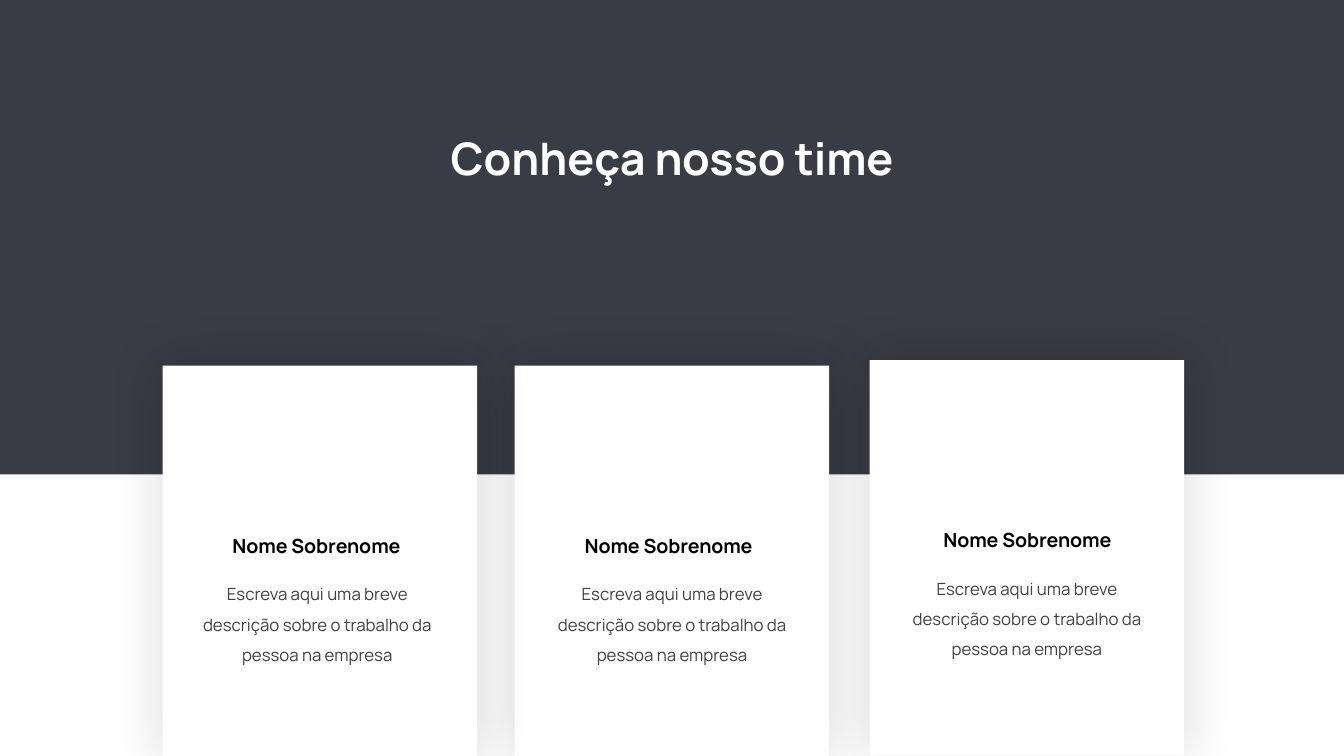
from dataclasses import dataclass

from lxml.etree import SubElement
from pptx import Presentation
from pptx.dml.color import RGBColor
from pptx.enum.shapes import MSO_SHAPE
from pptx.enum.text import MSO_AUTO_SIZE, PP_ALIGN
from pptx.oxml.ns import qn
from pptx.shapes.autoshape import Shape
from pptx.slide import Slide
from pptx.util import Inches, Pt

FONT = "Manrope"
DARK, WHITE, BLACK, GREY = "393B45", "FFFFFF", "000000", "404040"
WIDE = Inches(10)
HIGH = WIDE * 9 // 16
CARD_W, NAME_W, ROLE_W = 2.34, 2.57, 1.94
NAME_DROP, ROLE_DROP = 1.2, 1.5


@dataclass
class Card:
    left: float
    top: float
    height: float
    name_x: float
    role_x: float
    name: str = "Nome Sobrenome"
    role: str = "Escreva aqui uma breve descrição sobre o trabalho da pessoa na empresa"


@dataclass
class Style:
    size: float
    color: str
    bold: bool = False
    spacing: float = 1.0


TITLE = Style(24, WHITE, bold=True)
NAME = Style(10.5, BLACK, bold=True)
ROLE = Style(9, GREY, spacing=1.5)

CARDS = [
    Card(3.83, 2.72, 2.91, 3.69, 4.03),
    Card(1.21, 2.72, 2.94, 1.07, 1.39),
    Card(6.47, 2.68, 2.94, 6.36, 6.67),
]


def paint(fill, color: str) -> None:
    fill.solid()
    fill.fore_color.rgb = RGBColor.from_string(color)


def add_box(slide: Slide, kind: MSO_SHAPE, x: float, y: float,
            w: float, h: float, color: str) -> Shape:
    box = slide.shapes.add_shape(kind, Inches(x), Inches(y), Inches(w), Inches(h))
    box.shadow.inherit = False
    paint(box.fill, color)
    box.line.fill.background()
    return box


def add_glow(box: Shape) -> None:
    """Give the box a soft black shadow on all sides."""
    effects = box._element.spPr.find(qn("a:effectLst"))
    shadow = SubElement(effects, qn("a:outerShdw"), blurRad=str(Pt(30)),
                        dist="0", dir="0", algn="ctr", rotWithShape="0")
    color = SubElement(shadow, qn("a:srgbClr"), val=BLACK)
    SubElement(color, qn("a:alpha"), val="15000")


def add_text(slide: Slide, text: str, x: float, y: float,
             w: float, h: float, style: Style) -> None:
    frame = slide.shapes.add_textbox(Inches(x), Inches(y), Inches(w), Inches(h)).text_frame
    frame.word_wrap = True
    frame.auto_size = MSO_AUTO_SIZE.SHAPE_TO_FIT_TEXT
    line = frame.paragraphs[0]
    line.alignment = PP_ALIGN.CENTER
    line.line_spacing = style.spacing
    run = line.add_run()
    run.text = text
    run.font.name = FONT
    run.font.size = Pt(style.size)
    run.font.bold = style.bold
    run.font.color.rgb = RGBColor.from_string(style.color)


def add_card(slide: Slide, card: Card) -> None:
    box = add_box(slide, MSO_SHAPE.ROUNDED_RECTANGLE, card.left, card.top,
                  CARD_W, card.height, WHITE)
    box.adjustments[0] = 0
    add_glow(box)


def add_labels(slide: Slide, card: Card) -> None:
    add_text(slide, card.role, card.role_x, card.top + ROLE_DROP, ROLE_W, 0.71, ROLE)
    add_text(slide, card.name, card.name_x, card.top + NAME_DROP, NAME_W, 0.28, NAME)


def main() -> None:
    deck = Presentation()
    deck.slide_width, deck.slide_height = WIDE, HIGH
    slide = deck.slides.add_slide(deck.slide_layouts[6])
    paint(slide.background.fill, WHITE)

    add_box(slide, MSO_SHAPE.RECTANGLE, 0, 0, 10, 3.53, DARK)
    for card in CARDS:
        add_card(slide, card)
    add_text(slide, "Conheça nosso time", 2.6, 0.92, 4.8, 0.5, TITLE)
    for card in CARDS:
        add_labels(slide, card)

    deck.save("out.pptx")


if __name__ == "__main__":
    main()
